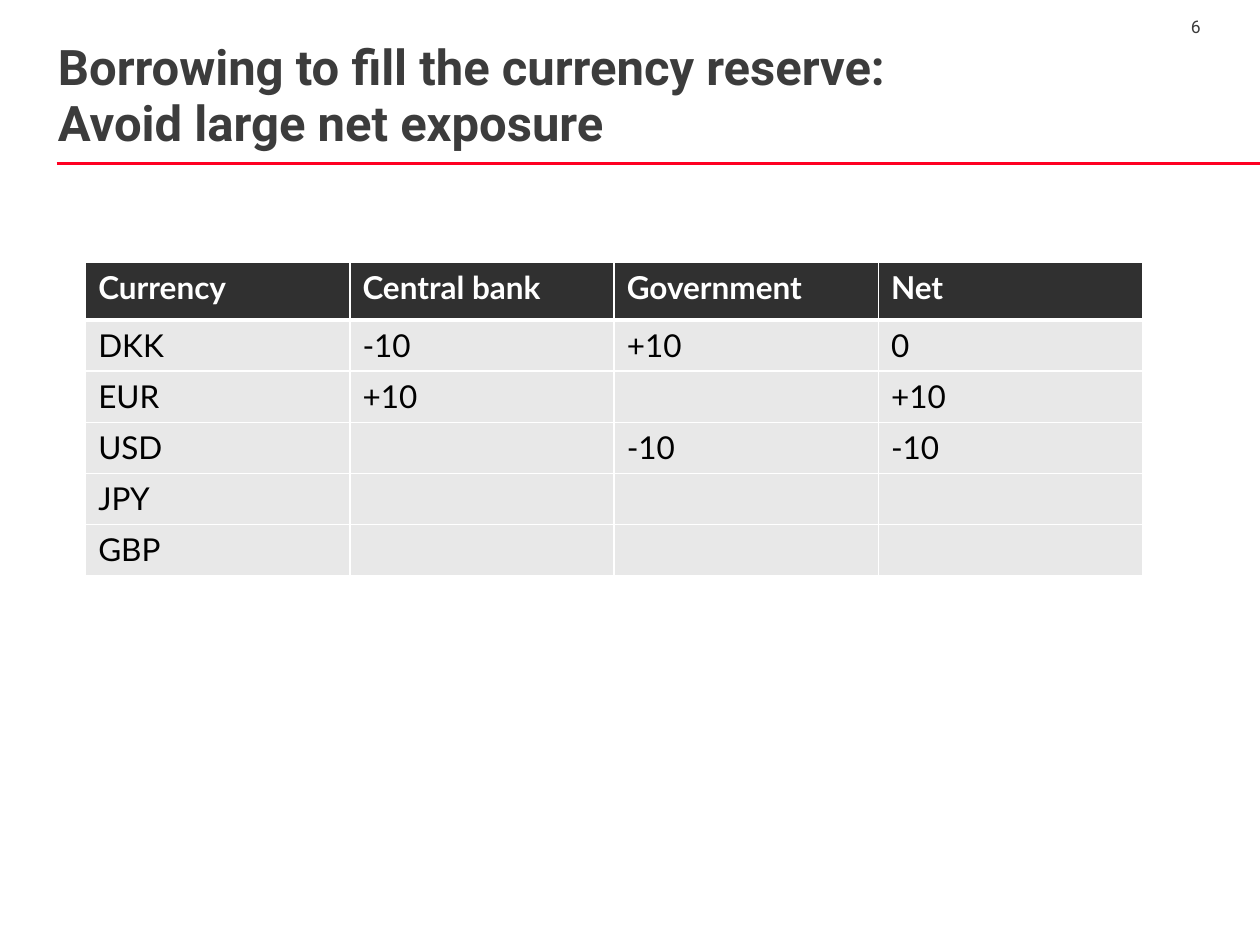
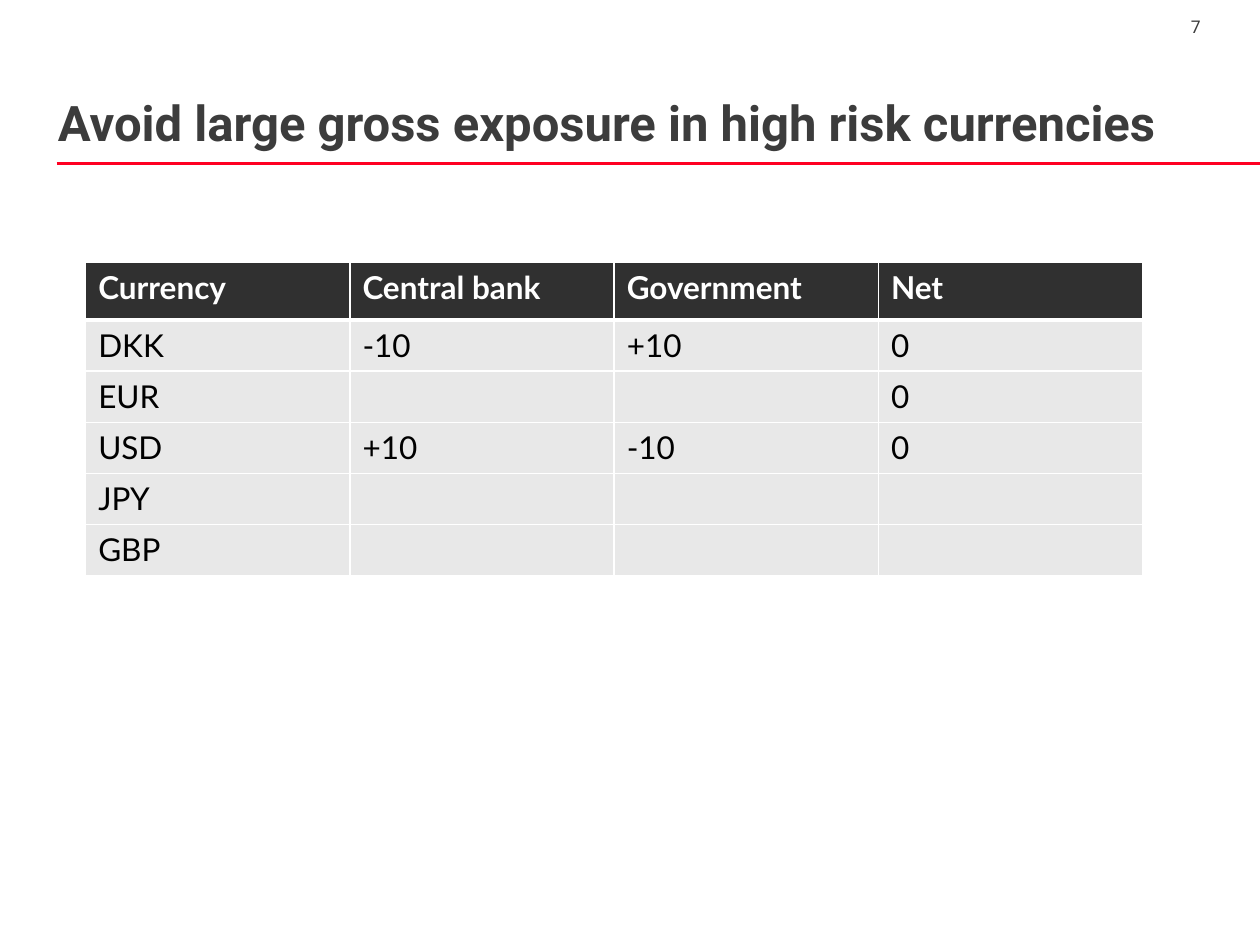
from lxml import etree
from pptx import Presentation
from pptx.dml.color import RGBColor
from pptx.enum import shapes, text
from pptx.oxml import ns
from pptx.util import Inches, Pt

# Content
HEADERS = ["Currency", "Central bank", "Government", "Net"]
SLIDES = [
    {
        "number": "6",
        "title": ["Borrowing to fill the currency reserve:", "Avoid large net exposure"],
        "rows": [
            ["DKK", "-10", "+10", "0"],
            ["EUR", "+10", "", "+10"],
            ["USD", "", "-10", "-10"],
            ["JPY", "", "", ""],
            ["GBP", "", "", ""],
        ],
    },
    {
        "number": "7",
        "title": ["Avoid large gross exposure in high risk currencies"],
        "rows": [
            ["DKK", "-10", "+10", "0"],
            ["EUR", "", "", "0"],
            ["USD", "+10", "-10", "0"],
            ["JPY", "", "", ""],
            ["GBP", "", "", ""],
        ],
    },
]

# Shared style
COLORS = {
    "text": "3C3C3C",
    "rule": "FF0022",
    "header": "303030",
    "body": "E8E8E8",
    "white": "FFFFFF",
    "black": "000000",
}
TITLE_FONT, TABLE_FONT = "Roboto", "Lato"
TABLE_LEFT, TABLE_TOP, TABLE_WIDTH, TABLE_HEIGHT = 0.68, 2.08, 8.39, 2.49
HEADER_HEIGHT = 0.46


def color(name):
    return RGBColor.from_string(COLORS[name])


def add_run(paragraph, words, font, size, color_name, bold=False):
    run = paragraph.add_run()
    run.text = words
    run.font.name = font
    run.font.size = Pt(size)
    run.font.bold = bold
    run.font.color.rgb = color(color_name)


def add_text_box(slide, left, top, width, height):
    frame = slide.shapes.add_textbox(
        Inches(left), Inches(top), Inches(width), Inches(height)).text_frame
    frame.word_wrap = True
    frame.margin_left = frame.margin_right = frame.margin_top = frame.margin_bottom = 0
    return frame


def add_title(slide, lines):
    frame = add_text_box(slide, 0.46, 0.32, 9.07, 0.89)
    frame.vertical_anchor = text.MSO_ANCHOR.BOTTOM
    paragraph = frame.paragraphs[0]
    paragraph.line_spacing = 0.95
    for index, line in enumerate(lines):
        if index:
            paragraph.add_line_break()
        add_run(paragraph, line, TITLE_FONT, 28, "text", bold=True)


def add_page_number(slide, number):
    paragraph = add_text_box(slide, 7.33, 0.13, 2.2, 0.28).paragraphs[0]
    paragraph.alignment = text.PP_ALIGN.RIGHT
    add_run(paragraph, number, TITLE_FONT, 10, "text")


def add_rule(slide):
    rule = slide.shapes.add_connector(
        shapes.MSO_CONNECTOR.STRAIGHT, Inches(0.45), Inches(1.3), Inches(10), Inches(1.3))
    rule.line.color.rgb = color("rule")
    rule.line.width = Pt(1.5)
    etree.SubElement(rule._element.spPr, ns.qn("a:effectLst"))


def add_border(cell, side, width):
    properties = cell._tc.get_or_add_tcPr()
    line = etree.SubElement(properties, ns.qn(f"a:ln{side}"), w=str(Pt(width)))
    fill = etree.SubElement(line, ns.qn("a:solidFill"))
    etree.SubElement(fill, ns.qn("a:srgbClr"), val=COLORS["white"])


def add_currency_table(slide, body_rows):
    rows = [HEADERS] + body_rows
    table = slide.shapes.add_table(
        len(rows), len(HEADERS), Inches(TABLE_LEFT), Inches(TABLE_TOP),
        Inches(TABLE_WIDTH), Inches(TABLE_HEIGHT)).table
    for column in table.columns:
        column.width = Inches(TABLE_WIDTH / len(HEADERS))
    body_height = (TABLE_HEIGHT - HEADER_HEIGHT) / len(body_rows)
    for row_index, values in enumerate(rows):
        is_header = row_index == 0
        table.rows[row_index].height = Inches(HEADER_HEIGHT if is_header else body_height)
        for column_index, value in enumerate(values):
            cell = table.cell(row_index, column_index)
            # A thick border separates the header from the body
            for side in "LRTB":
                thick = (is_header and side == "B") or (row_index == 1 and side == "T")
                add_border(cell, side, 3 if thick else 1)
            cell.fill.solid()
            cell.fill.fore_color.rgb = color("header" if is_header else "body")
            paragraph = cell.text_frame.paragraphs[0]
            paragraph.alignment = text.PP_ALIGN.LEFT
            if value:
                add_run(paragraph, value, TABLE_FONT, 18,
                        "white" if is_header else "black", bold=is_header)


def main():
    presentation = Presentation()
    presentation.slide_width = Inches(10)
    presentation.slide_height = Inches(7.5)
    for content in SLIDES:
        slide = presentation.slides.add_slide(presentation.slide_layouts[6])
        add_rule(slide)
        add_title(slide, content["title"])
        add_page_number(slide, content["number"])
        add_currency_table(slide, content["rows"])
    presentation.save("out.pptx")


if __name__ == "__main__":
    main()
